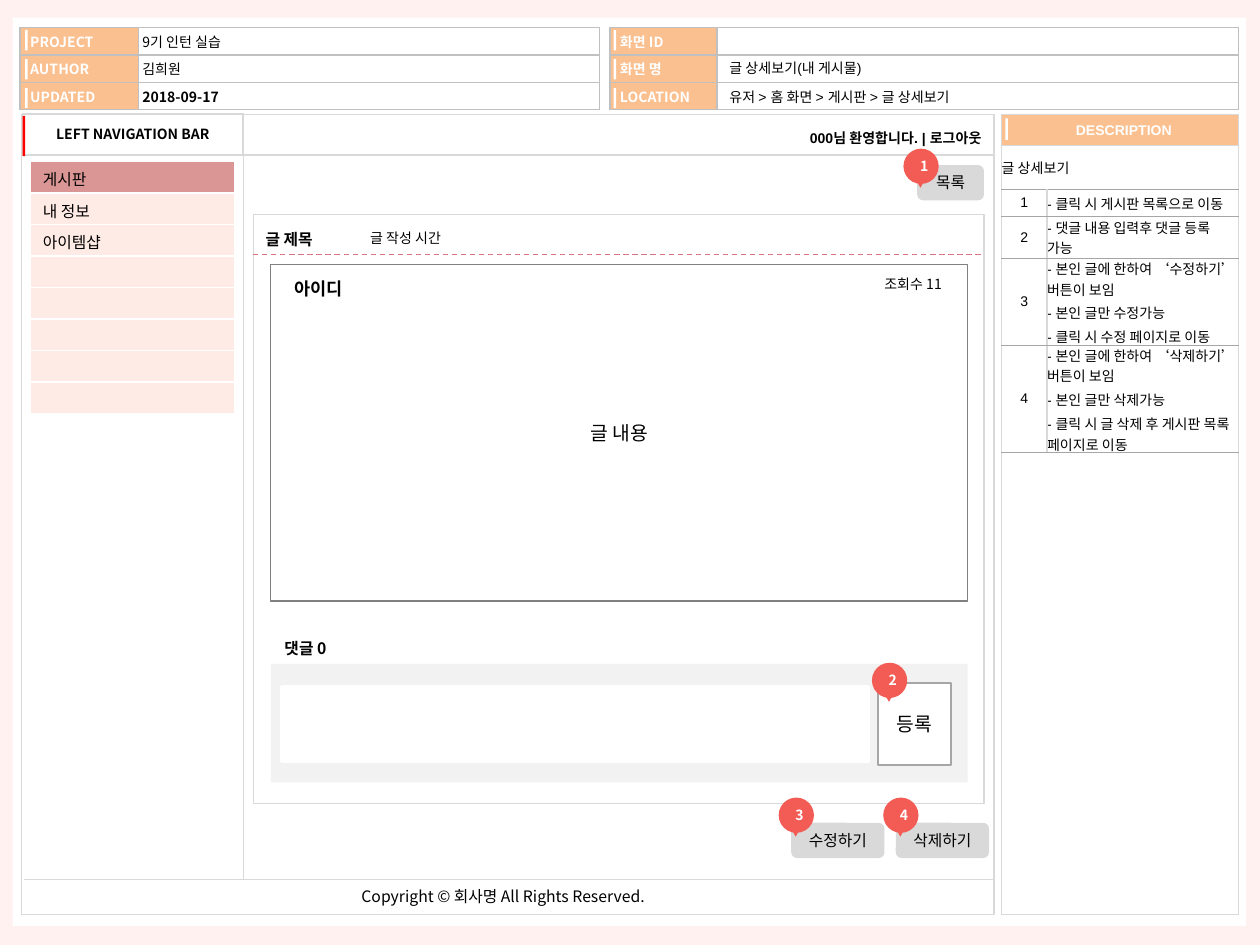
import collections
import pptx
import pptx.util
import pptx.dml.color
import pptx.enum.dml
import pptx.enum.shapes
import pptx.enum.text
import pptx.oxml.ns
from lxml import etree
from pptx.util import Inches

COLORS = {
    "backdrop": "FFF1EF", "white": "FFFFFF", "black": "000000", "label": "FAC090",
    "grid": "C0C0C0", "frame": "D9D9D9", "rule": "A6A6A6", "content": "808080",
    "active": "D99694", "menu": "FFEBE5", "accent": "FF0000", "marker": "F25C54",
    "dash": "D67484", "comment": "F2F2F2",
}
NOTO = "Noto Sans CJK KR"
SHAPES = pptx.enum.shapes.MSO_SHAPE
ALIGN = pptx.enum.text.PP_ALIGN
MIDDLE = pptx.enum.text.MSO_ANCHOR.MIDDLE
Box = collections.namedtuple("Box", "left top width height")


def inside(box, left, top, width, height):
    return Box(box.left + left, box.top + top, width, height)


def rgb(name):
    return pptx.dml.color.RGBColor.from_string(COLORS[name])


def add_tag(parent, tag, **attributes):
    return etree.SubElement(parent, pptx.oxml.ns.qn(tag), **attributes)


def write(frame, text, size=8, bold=False, color="black", font=NOTO, align=None, before=0):
    frame.text = text
    for para in frame.paragraphs:
        para.alignment = align
        para.space_before = pptx.util.Pt(before)
        for span in para.runs:
            span.font.size = pptx.util.Pt(size)
            span.font.bold = bold
            span.font.name = font
            span.font.color.rgb = rgb(color)
            add_tag(span.font._element, "a:ea", typeface=NOTO)
        if not para.runs:
            add_tag(para._p, "a:endParaRPr", sz=str(size * 100))


def set_margins(target, left, top, right, bottom):
    target.margin_left, target.margin_right = Inches(left), Inches(right)
    target.margin_top, target.margin_bottom = Inches(top), Inches(bottom)


def add_block(page, box, fill=None, line=None, width=0.75, text="", kind=SHAPES.RECTANGLE, **style):
    shape = page.shapes.add_shape(kind, *map(Inches, box))
    shape.shadow.inherit = False
    if fill:
        shape.fill.solid()
        shape.fill.fore_color.rgb = rgb(fill)
    else:
        shape.fill.background()
    if line:
        shape.line.color.rgb = rgb(line)
        shape.line.width = pptx.util.Pt(width)
    else:
        shape.line.fill.background()
    if text:
        set_margins(shape.text_frame, 0, 0, 0, 0)
        shape.text_frame.vertical_anchor = MIDDLE
        write(shape.text_frame, text, align=ALIGN.CENTER, **style)
    return shape


def add_label(page, box, text, wrap=False, margins=(0.1, 0.05, 0.1, 0.05), **style):
    frame = page.shapes.add_textbox(*map(Inches, box)).text_frame
    frame.word_wrap = wrap
    if not wrap:
        frame.auto_size = pptx.enum.text.MSO_AUTO_SIZE.SHAPE_TO_FIT_TEXT
    set_margins(frame, *margins)
    write(frame, text, **style)


def add_line(page, start, end, color="frame", width=1, dashed=False):
    line = page.shapes.add_connector(
        pptx.enum.shapes.MSO_CONNECTOR.STRAIGHT, *map(Inches, start + end))
    line.line.color.rgb = rgb(color)
    line.line.width = pptx.util.Pt(width)
    if dashed:
        line.line.dash_style = pptx.enum.dml.MSO_LINE.DASH
    add_tag(line._element.spPr, "a:effectLst")


def add_grid(page, box, columns, rows):
    grid = page.shapes.add_table(len(rows), len(columns), *map(Inches, box)).table
    grid.first_row = grid.horz_banding = False
    for column, width in zip(grid.columns, columns):
        column.width = Inches(width)
    for row, height in zip(grid.rows, rows):
        row.height = Inches(height)
    return grid


def fill_cell(cell, text, fill, borders, width=1, margins=(0, 0, 0, 0), anchor=MIDDLE, **style):
    properties = cell._tc.get_or_add_tcPr()
    for side, color in zip("LRTB", borders):
        weight = width if side in "TB" else 1
        edge = add_tag(properties, "a:ln" + side, w=str(pptx.util.Pt(weight)))
        add_tag(add_tag(edge, "a:solidFill"), "a:srgbClr", val=COLORS[color])
    cell.fill.solid()
    cell.fill.fore_color.rgb = rgb(fill)
    cell.vertical_anchor = anchor
    set_margins(cell, *margins)
    write(cell.text_frame, text, **style)


def add_header(page, box, label_width, entries, bar_left):
    grid = add_grid(page, box, [label_width, box.width - label_width], [box.height / 3] * 3)
    for index, (label, value, bold) in enumerate(entries):
        fill_cell(grid.cell(index, 0), label, "label", ["grid"] * 4,
                  margins=(0.08, 0, 0.03, 0), bold=True, color="white", before=1.6)
        fill_cell(grid.cell(index, 1), value, "white", ["grid"] * 4,
                  margins=(0.03, 0, 0.03, 0), bold=bold, before=1.6)
        add_block(page, inside(box, bar_left, 0.02 + 0.23 * index, 0.02, 0.16), "white")


def add_description(page, box, title, notes):
    panel = add_grid(page, box, [box.width], [0.25, box.height - 0.25])
    fill_cell(panel.cell(0, 0), "DESCRIPTION", "label", ["frame", "frame", "frame", "grid"],
              margins=(0.06, 0, 0, 0), font="Arial", bold=True, color="white",
              align=ALIGN.CENTER, before=1.6)
    fill_cell(panel.cell(1, 0), "", "white", ["frame", "frame", "grid", "frame"])
    add_block(page, inside(box, 0.03, 0.03, 0.02, 0.17), "white")

    heights = [0.35, 0.22, 0.33, 0.69, 0.85]
    grid = add_grid(page, inside(box, 0, 0.24, box.width, sum(heights)),
                    [0.36, box.width - 0.36], heights)
    grid.cell(0, 0).merge(grid.cell(0, 1))
    borders = ["frame", "frame", "rule", "rule"]
    for cell in (grid.cell(0, 0), grid.cell(0, 1)):
        fill_cell(cell, title if cell.is_merge_origin else "", "white",
                  ["frame", "frame", "frame", "rule"], 0.5, font="Arial", before=2)
    for number, lines in enumerate(notes, 1):
        fill_cell(grid.cell(number, 0), str(number), "white", borders, 0.5,
                  font="Arial", align=ALIGN.CENTER, before=2)
        fill_cell(grid.cell(number, 1), "\n".join("- " + line for line in lines),
                  "white", borders, 0.5, font="Arial", before=2)


def add_navigation(page, box, items):
    add_block(page, inside(box, 0, 0, box.width, 0.33), line="frame",
              text="LEFT NAVIGATION BAR", bold=True)
    add_block(page, inside(box, 0, 0.02, 0.02, 0.32), "accent")
    right = box.left + box.width
    add_line(page, (right, box.top), (right, box.top + box.height), width=0.75)
    grid = add_grid(page, inside(box, 0.06, 0.38, 1.62, 2), [1.62], [0.25] * 8)
    for index in range(8):
        fill_cell(grid.cell(index, 0), items[index] if index < len(items) else "",
                  "menu" if index else "active", ["white"] * 4, size=9,
                  margins=(0.1, 0.05, 0.1, 0), anchor=pptx.enum.text.MSO_ANCHOR.TOP)


def add_frame(page, box):
    add_block(page, box, line="frame")
    right = box.left + box.width
    for left, top in ((0.02, 6.07), (1.76, 0.32)):
        add_line(page, (box.left + left, box.top + top), (right, box.top + top))
    add_label(page, inside(box, 5.12, 0.08, 2.58, 0.22), "000님 환영합니다. | 로그아웃", wrap=True,
              margins=(0.08, 0.04, 0.08, 0.04), font="Arial", bold=True, align=ALIGN.RIGHT)
    add_label(page, inside(box, 2.6, 6.08, 2.52, 0.25),
              "Copyright ©\u00a0회사명 All Rights Reserved.", size=9)


def add_post(page, box):
    add_block(page, box, line="frame")
    add_label(page, inside(box, 0, 0.07, 0.62, 0.25), "글 제목", size=9, bold=True)
    add_label(page, inside(box, 0.83, 0.07, 0.84, 0.24), "글 작성 시간")
    add_line(page, (box.left, box.top + 0.32), (box.left + box.width, box.top + 0.32),
             "dash", 0.75, dashed=True)
    add_block(page, inside(box, 0.14, 0.4, 5.53, 2.67), line="content", text="글 내용", size=11)
    add_label(page, inside(box, 0.23, 0.46, 0.62, 0.27), "아이디", size=10, bold=True)
    add_label(page, inside(box, 4.91, 0.44, 0.7, 0.24), "조회수 11")
    add_label(page, inside(box, 0.15, 3.32, 0.57, 0.25), "댓글 0", size=9, bold=True)
    add_block(page, inside(box, 0.14, 3.57, 5.53, 0.94), "comment")
    add_block(page, inside(box, 0.23, 3.75, 4.65, 0.59), "white", "white", 2)
    add_block(page, inside(box, 4.96, 3.72, 0.58, 0.65), "white", "rule", 1, "등록", size=11)


def add_button(page, box, text):
    add_block(page, box, "frame", text=text, kind=SHAPES.ROUNDED_RECTANGLE, size=9)


def add_marker(page, box, number):
    group = page.shapes.add_group_shape()
    disc = add_block(group, box, "marker", text=str(number), kind=SHAPES.OVAL,
                     bold=True, color="white")
    disc.text_frame.margin_left = Inches(0.05)
    tip = add_block(group, inside(box, 0.09, 0.23, 0.09, 0.08), "marker",
                    kind=SHAPES.ISOSCELES_TRIANGLE)
    tip.rotation = 180


def main():
    deck = pptx.Presentation()
    deck.slide_width, deck.slide_height = Inches(10), Inches(7.5)
    page = deck.slides.add_slide(deck.slide_layouts[6])
    page.background.fill.solid()
    page.background.fill.fore_color.rgb = rgb("backdrop")
    add_block(page, Box(0.1, 0.14, 9.79, 7.21), "white")
    add_header(page, Box(0.16, 0.22, 4.6, 0.65), 0.94, [
        ("PROJECT", "9기 인턴 실습", False), ("AUTHOR", "김희원", False),
        ("UPDATED", "2018-09-17", True)], 0.04)
    add_header(page, Box(4.84, 0.22, 4.99, 0.65), 0.85, [
        ("화면 ID", "", False), ("화면 명", "", False), ("LOCATION", "", False)], 0.03)
    for top, text in ((0.66, "유저 > 홈 화면 > 게시판 > 글 상세보기"), (0.43, "글 상세보기(내 게시물)")):
        add_label(page, Box(5.71, top, 2.9, 0.2), text, wrap=True,
                  margins=(0.08, 0.04, 0.08, 0.04), font="Arial")
    add_frame(page, Box(0.17, 0.91, 7.72, 6.35))
    add_description(page, Box(7.95, 0.91, 1.88, 6.35), "글 상세보기", [
        ["클릭 시 게시판 목록으로 이동"],
        ["댓글 내용 입력후 댓글 등록 가능"],
        ["본인 글에 한하여 ‘수정하기’ 버튼이 보임", "본인 글만 수정가능", "클릭 시 수정 페이지로 이동"],
        ["본인 글에 한하여 ‘삭제하기’ 버튼이 보임", "본인 글만 삭제가능",
         "클릭 시 글 삭제 후 게시판 목록 페이지로 이동"]])
    add_navigation(page, Box(0.18, 0.9, 1.75, 6.08), ["게시판", "내 정보", "아이템샵"])
    add_post(page, Box(2.01, 1.7, 5.8, 4.68))
    add_button(page, Box(7.28, 1.31, 0.53, 0.28), "목록")
    add_button(page, Box(6.28, 6.53, 0.74, 0.28), "수정하기")
    add_button(page, Box(7.11, 6.53, 0.74, 0.28), "삭제하기")
    spots = [(7.17, 1.18), (6.92, 5.26), (6.18, 6.33), (7.01, 6.33)]
    for number, (left, top) in enumerate(spots, 1):
        add_marker(page, Box(left, top, 0.28, 0.28), number)
    deck.save("out.pptx")


if __name__ == "__main__":
    main()
